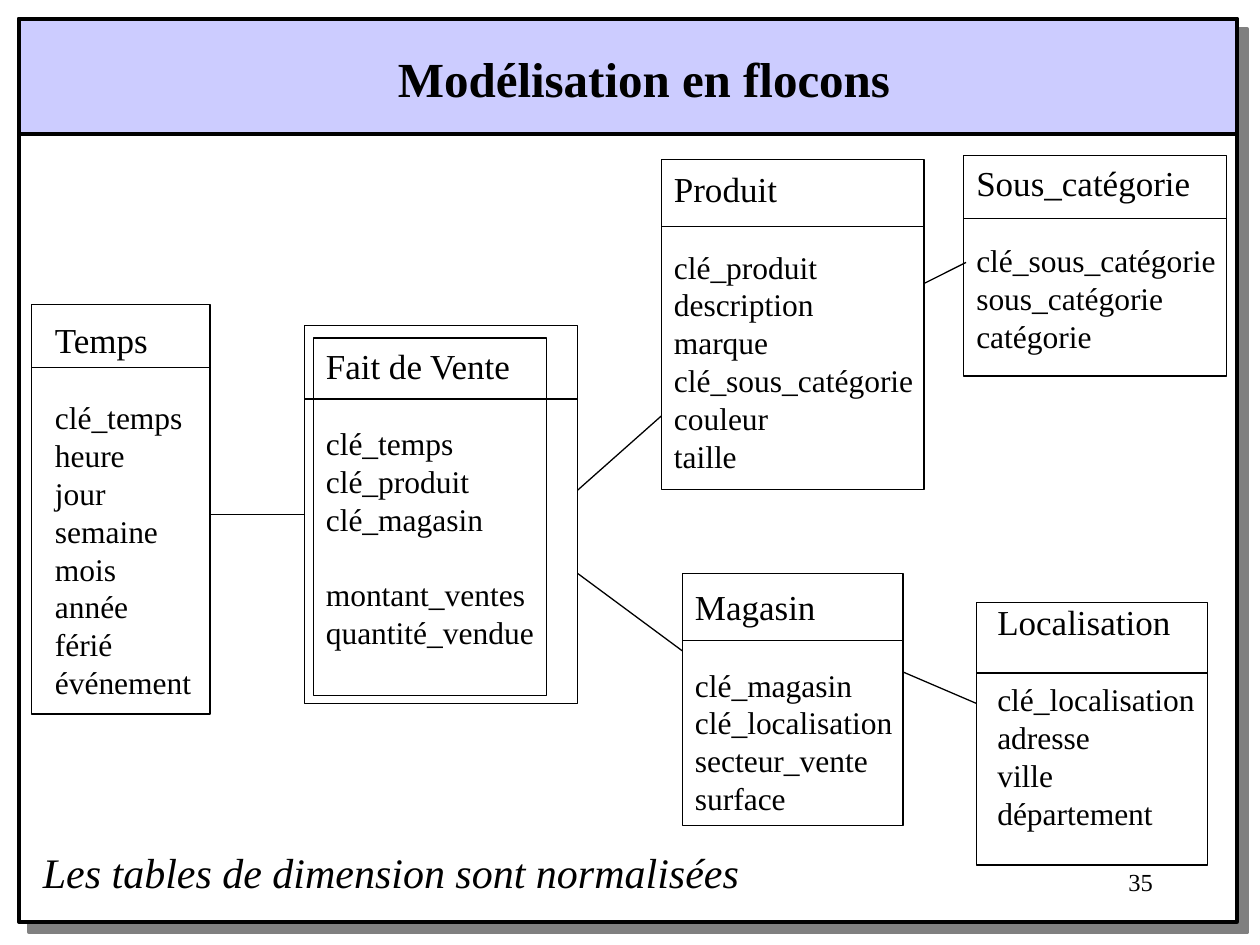
from lxml.etree import SubElement
from pptx import Presentation
from pptx.dml.color import RGBColor
from pptx.enum.shapes import MSO_CONNECTOR as CONN, MSO_SHAPE as SHAPE
from pptx.enum.text import MSO_ANCHOR as ANCHOR, MSO_AUTO_SIZE as AUTO, PP_ALIGN as ALIGN
from pptx.oxml.ns import qn
from pptx.util import Inches, Pt

COLORS = {"ink": "000000", "paper": "FFFFFF", "band": "CCCCFF", "shadow": "808080"}
FONT = "Times New Roman"
COLS, ROWS = 120, 90
LEADING = 1.2

# name: (box, header rows, text offset, groups of fields)
TABLES = {
    "Temps": ((3, 29, 17, 39), 6, (1.05, 0.75), [
        ["clé_temps", "heure", "jour", "semaine", "mois", "année", "férié", "événement"]]),
    "Fait de Vente": ((29, 31, 26, 36), 7, (0.85, 1.2), [
        ["clé_temps", "clé_produit", "clé_magasin"], ["montant_ventes", "quantité_vendue"]]),
    "Magasin": ((65, 54.6, 21, 24), 6.4, (0, 0.6), [
        ["clé_magasin", "clé_localisation", "secteur_vente", "surface"]]),
    "Produit": ((63, 15.2, 25, 31.4), 6.4, (0, 0.2), [
        ["clé_produit", "description", "marque", "clé_sous_catégorie", "couleur", "taille"]]),
    "Sous_catégorie": ((91.8, 14.8, 25, 21), 6, (0, 0), [
        ["clé_sous_catégorie", "sous_catégorie", "catégorie"]]),
    "Localisation": ((93, 57.4, 22, 25), 6.7, (0.8, -0.8), [
        ["clé_localisation", "adresse", "ville", "département"]]),
}
LINKS = [
    (55, 46.7, 63, 39.6),
    (55, 54.6, 65, 62),
    (88, 27, 92, 25),
    (86, 64, 93, 67),
]


def rgb(name):
    """Return the named colour."""
    return RGBColor.from_string(COLORS[name])


def place(prs, *box):
    """Turn grid columns and rows (x, y, x, y) into slide lengths."""
    units = (prs.slide_width / COLS, prs.slide_height / ROWS) * 2
    return [round(v * u) for v, u in zip(box, units)]


def add_box(prs, s, box, weight=0.75, fill=None):
    """Add an outlined rectangle."""
    sp = s.shapes.add_shape(SHAPE.RECTANGLE, *place(prs, *box))
    sp.shadow.inherit = False
    sp.line.color.rgb = rgb("ink")
    sp.line.width = Pt(weight)
    if fill:
        sp.fill.solid()
        sp.fill.fore_color.rgb = rgb(fill)
    else:
        sp.fill.background()
    return sp


def add_line(prs, s, ends, weight=0.75):
    """Add a straight line between two grid points."""
    line = s.shapes.add_connector(CONN.STRAIGHT, *place(prs, *ends))
    line.line.color.rgb = rgb("ink")
    line.line.width = Pt(weight)
    SubElement(line._element.spPr, qn("a:effectLst"))
    return line


def prepare(tf):
    """Make a text frame start at its top left and keep its size."""
    tf.word_wrap = False
    tf.auto_size = AUTO.NONE
    tf.vertical_anchor = ANCHOR.TOP
    tf.margin_left = tf.margin_right = Inches(0.1)
    tf.margin_top = tf.margin_bottom = Inches(0.05)


def write(p, text, size, bold=False, italic=False, align=ALIGN.LEFT):
    """Fill and format one paragraph."""
    p.text = text
    p.alignment = align
    p.line_spacing = Pt(size * LEADING)
    p.font.name = FONT
    p.font.size = Pt(size)
    p.font.bold = bold
    p.font.italic = italic
    p.font.color.rgb = rgb("ink")


def add_label(prs, s, box, text, size, **style):
    """Add a one-line text box."""
    tf = s.shapes.add_textbox(*place(prs, *box)).text_frame
    prepare(tf)
    write(tf.paragraphs[0], text, size, **style)


def add_frame(prs, s, box, band):
    """Add the shadowed page frame with its title band."""
    x, y, w, h = box
    page = add_box(prs, s, box, 2.25, "paper")
    effects = page._element.spPr.find(qn("a:effectLst"))
    shadow = SubElement(effects, qn("a:outerShdw"), dist=str(Pt(8.5)), dir="2700000",
                        algn="ctr", rotWithShape="0")
    SubElement(shadow, qn("a:srgbClr"), val=COLORS["shadow"])
    add_line(prs, s, (x, y + band, x + w, y + band), 2.25)
    add_box(prs, s, (x, y, w, band), 2.25, "band")


def add_title(prs, s, box, text):
    """Place the title placeholder in front of the band."""
    sp = s.shapes.title
    sp.left, sp.top, sp.width, sp.height = place(prs, *box)
    prepare(sp.text_frame)
    write(sp.text_frame.paragraphs[0], text, 28, bold=True)
    sp._element.getparent().append(sp._element)


def add_entity(prs, s, name, box, header, offset, groups, inner=None):
    """Draw one table of the model and return its outline."""
    x, y, w, h = box
    dx, dy = offset
    if inner:
        tf = add_box(prs, s, (x + dx, y + dy, *inner)).text_frame
    else:
        tf = s.shapes.add_textbox(*place(prs, x + dx, y + dy, w - dx, h - dy)).text_frame
    prepare(tf)
    write(tf.paragraphs[0], name, 20)
    for group in groups:
        for i, field in enumerate(group):
            p = tf.add_paragraph()
            write(p, field, 18)
            if i == 0:
                p.space_before = Pt(18 * LEADING)
    outline = add_box(prs, s, box)
    add_line(prs, s, (x, y + header, x + w, y + header))
    return outline


def add_model(prs, s):
    """Draw every table and the links between them."""
    inner = {"Fait de Vente": (22.2, 34.05)}
    outlines = {name: add_entity(prs, s, name, *parts, inner=inner.get(name))
                for name, parts in TABLES.items()}
    add_line(prs, s, (20, 49, 29, 49)).end_connect(outlines["Fait de Vente"], 1)
    for ends in LINKS:
        add_line(prs, s, ends)


def main():
    """Build the slide and save it."""
    prs = Presentation()
    prs.slide_width, prs.slide_height = Inches(10), Inches(7.5)
    s = prs.slides.add_slide(prs.slide_layouts[5])
    add_frame(prs, s, (1.8, 1.8, 116, 86), 11)
    add_title(prs, s, (36.7, 4, 52, 6.8), "Modélisation en flocons")
    add_label(prs, s, (86, 82, 25, 6), "35", 14, align=ALIGN.RIGHT)
    add_model(prs, s)
    add_label(prs, s, (2.9, 80, 68.8, 6), "Les tables de dimension sont normalisées", 24,
              italic=True)
    prs.save("out.pptx")


if __name__ == "__main__":
    main()
